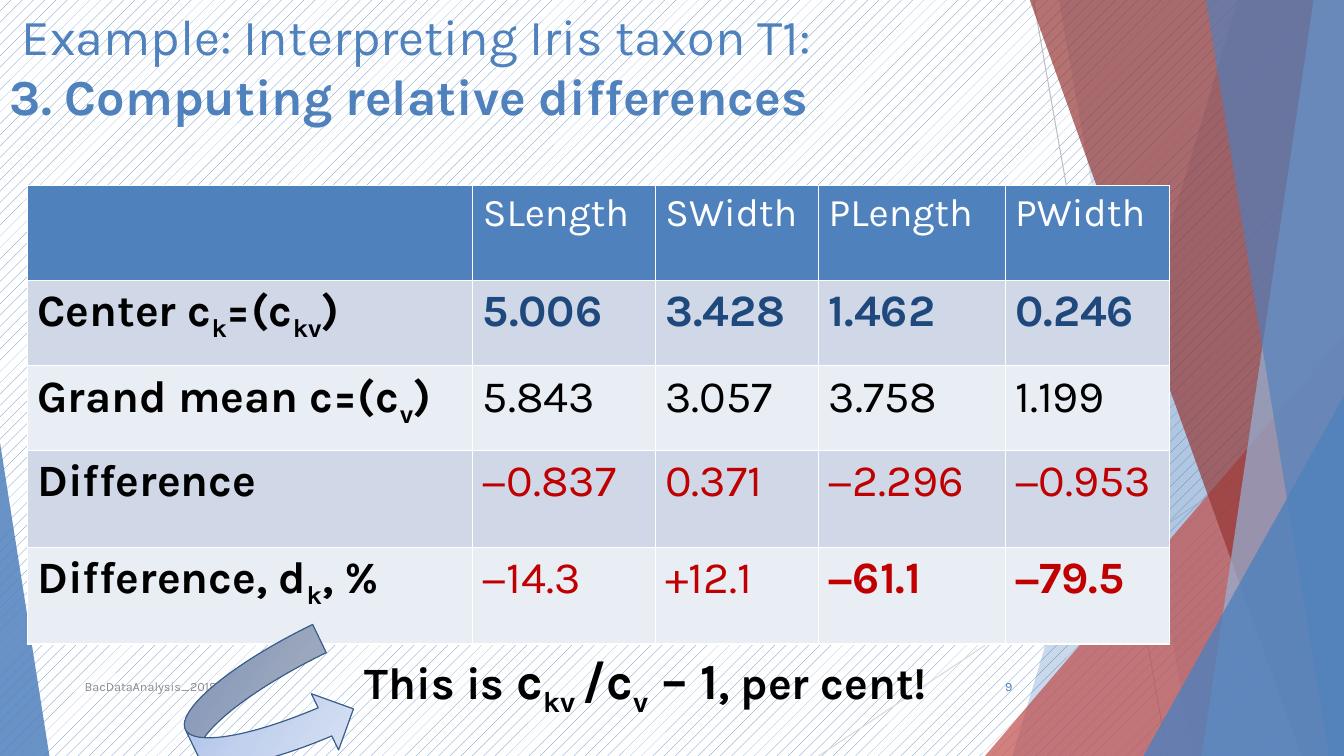
from lxml import etree
from pptx import Presentation
from pptx.dml.color import RGBColor
from pptx.enum.dml import MSO_PATTERN
from pptx.enum.shapes import MSO_CONNECTOR, MSO_SHAPE
from pptx.enum.text import MSO_ANCHOR, PP_ALIGN
from pptx.oxml import parse_xml
from pptx.oxml.ns import nsdecls, qn
from pptx.util import Inches, Pt

PERCENT_10 = MSO_PATTERN.PERCENT_10
STRAIGHT = MSO_CONNECTOR.STRAIGHT
TRIANGLE = MSO_SHAPE.ISOSCELES_TRIANGLE
CURVED_ARROW = MSO_SHAPE.CURVED_RIGHT_ARROW
TOP, MIDDLE = MSO_ANCHOR.TOP, MSO_ANCHOR.MIDDLE
LEFT, RIGHT = PP_ALIGN.LEFT, PP_ALIGN.RIGHT

BLUE, NAVY, RED = "4F81BD", "1F497D", "C00000"
BLACK, WHITE, GREY = "000000", "FFFFFF", "8C8C8C"
BANDS = ["D0D8E8", "E9EDF4"]
W, H = 13.33, 7.5


def rgb(color):
    return RGBColor.from_string(color)


class SlideBuilder:
    font = "Karla"

    def __init__(self, slide):
        self.slide = slide
        self.shapes = slide.shapes

    def background(self, fore, back):
        fill = self.slide.background.fill
        fill.patterned()
        fill.pattern = PERCENT_10
        fill.fore_color.rgb = rgb(fore)
        fill.back_color.rgb = rgb(back)

    def line(self, x1, y1, x2, y2, color, width=0.75):
        c = self.shapes.add_connector(STRAIGHT, *map(Inches, (x1, y1, x2, y2)))
        c.line.color.rgb = rgb(color)
        c.line.width = Pt(width)
        etree.SubElement(c._element.spPr, qn("a:effectLst"))

    def paint(self, sp, color, opacity):
        sp.shadow.inherit = False
        sp.fill.solid()
        sp.fill.fore_color.rgb = rgb(color)
        sp.line.fill.background()
        clr = sp._element.spPr.find(qn("a:solidFill"))[0]
        etree.SubElement(clr, qn("a:alpha")).set("val", str(opacity * 1000))

    def polygon(self, points, color, opacity):
        start, *rest = [(Inches(x), Inches(y)) for x, y in points]
        fb = self.shapes.build_freeform(*start)
        fb.add_line_segments(rest)
        self.paint(fb.convert_to_shape(), color, opacity)

    def triangle(self, x, y, w, h, apex, color, opacity):
        sp = self.shapes.add_shape(TRIANGLE, *map(Inches, (x, y, w, h)))
        sp.adjustments[0] = apex
        self.paint(sp, color, opacity)

    def arrow(self, x, y, w, h, rotation, stops, angle, line):
        sp = self.shapes.add_shape(CURVED_ARROW, *map(Inches, (x, y, w, h)))
        sp.rotation = rotation
        sp.shadow.inherit = False
        sp.line.color.rgb = rgb(line)
        sp.line.width = Pt(0.85)
        gs = "".join(f'<a:gs pos="{pos * 1000}"><a:srgbClr val="{c}"/></a:gs>'
                     for pos, c in stops)
        grad = parse_xml(f'<a:gradFill {nsdecls("a")}><a:gsLst>{gs}</a:gsLst>'
                         f'<a:lin ang="{angle * 60000}" scaled="0"/></a:gradFill>')
        sp._element.spPr.find(qn("a:prstGeom")).addnext(grad)

    def style(self, p, size, color, bold):
        p.font.name = self.font
        p.font.size = Pt(size)
        p.font.bold = bold
        p.font.color.rgb = rgb(color)

    def runs(self, p, text, size=None, bold=None):
        for i, part in enumerate(text.split("~")):
            if not part:
                continue
            r = p.add_run()
            r.text = part
            if size:
                r.font.size = Pt(size)
            if bold:
                r.font.bold = True
            if i % 2:
                r._r.get_or_add_rPr().set("baseline", "-25000")

    def text(self, x, y, w, h, lines, size, color, bold=False, anchor=TOP, align=LEFT):
        tf = self.shapes.add_textbox(*map(Inches, (x, y, w, h))).text_frame
        tf.word_wrap = True
        tf.vertical_anchor = anchor
        p = tf.paragraphs[0]
        p.alignment = align
        self.style(p, size, color, bold)
        for i, segments in enumerate(lines):
            if i:
                p.add_line_break()
            for segment in segments:
                self.runs(p, *segment)

    def table(self, x, y, widths, heights):
        shape = self.shapes.add_table(len(heights), len(widths), Inches(x), Inches(y),
                                      Inches(sum(widths)), Inches(sum(heights)))
        table = shape.table
        for col, width in zip(table.columns, widths):
            col.width = Inches(width)
        for row, height in zip(table.rows, heights):
            row.height = Inches(height)
        return table

    def cell(self, cell, text, fill, size, color, bold=False):
        tcPr = cell._tc.get_or_add_tcPr()
        for side in "LRTB":
            tcPr.append(parse_xml(
                f'<a:ln{side} {nsdecls("a")} w="12700"><a:solidFill>'
                f'<a:srgbClr val="{WHITE}"/></a:solidFill></a:ln{side}>'))
        cell.fill.solid()
        cell.fill.fore_color.rgb = rgb(fill)
        p = cell.text_frame.paragraphs[0]
        self.style(p, size, color, bold)
        self.runs(p, text)


prs = Presentation()
prs.slide_width, prs.slide_height = Inches(W), Inches(H)
s = SlideBuilder(prs.slides.add_slide(prs.slide_layouts[6]))
s.background(BLUE, WHITE)

s.line(10.25, 0, 11.58, H, "BFBFBF")
s.line(W, 4.03, 8.12, H, "D9D9D9")


def shard(top, bottom, color, opacity):
    s.polygon([(top, -0.01), (W, -0.01), (W, H), (bottom, H)], color, opacity)


shard(12.28, 10.04, BLUE, 30)
shard(10.5, 11.83, BLUE, 20)
s.triangle(9.77, 3.33, 3.56, 4.17, 1, "C0504D", 72)
shard(10.21, 12.91, "953735", 70)
shard(13.03, 11.92, "95B3D7", 70)
shard(11.96, 13.18, BLUE, 65)
s.triangle(11.34, 3.93, 1.99, 3.57, 1, BLUE, 80)
s.triangle(0, 4.39, 0.49, 3.11, 0, BLUE, 85)

s.text(0, 0, 12.14, 2.22, [
    [(" Example: Interpreting Iris taxon T1:",)],
    [("3. Computing relative differences", None, True)],
], 36, BLUE)
s.text(0.74, 6.61, 6.89, 0.4, [[("BacDataAnalysis_2018_3",)]], 9, GREY, anchor=MIDDLE)
s.text(9.39, 6.61, 0.75, 0.4, [[("9",)]], 9, BLUE, anchor=MIDDLE, align=RIGHT)

header = ["", "SLength", "SWidth", "PLength", "PWidth"]
rows = [
    ("Center c~k~=(c~kv~)", ["5.006", "3.428", "1.462", "0.246"], NAVY, [0, 1, 2, 3]),
    ("Grand mean c=(c~v~)", ["5.843", "3.057", "3.758", "1.199"], BLACK, []),
    ("Difference", ["−0.837", "0.371", "−2.296", "−0.953"], RED, []),
    ("Difference, d~k~, %", ["−14.3", "+12.1", "−61.1", "−79.5"], RED, [2, 3]),
]
table = s.table(0.27, 1.84, [4.42, 1.81, 1.62, 1.85, 1.63], [0.94, 0.85, 0.84, 0.96, 0.96])
for c, title in enumerate(header):
    s.cell(table.cell(0, c), title, BLUE, 28, WHITE)
for r, (label, values, color, bold_columns) in enumerate(rows):
    band = BANDS[r % 2]
    s.cell(table.cell(r + 1, 0), label, band, 32, BLACK, True)
    for c, value in enumerate(values):
        s.cell(table.cell(r + 1, c + 1), value, band, 32, color, c in bold_columns)

s.text(3.52, 6.39, 5.91, 0.71, [[
    ("This is ",), ("c~kv ~/c~v~ – 1", 36), (", per cent!",),
]], 32, BLACK, True)
s.arrow(1.86, 6.48, 1.59, 1.24, 334.2,
        [(0, "9AB5E4"), (50, "C2D1ED"), (100, "E1E8F5")], 60, "3A5F8C")

prs.save("out.pptx")
